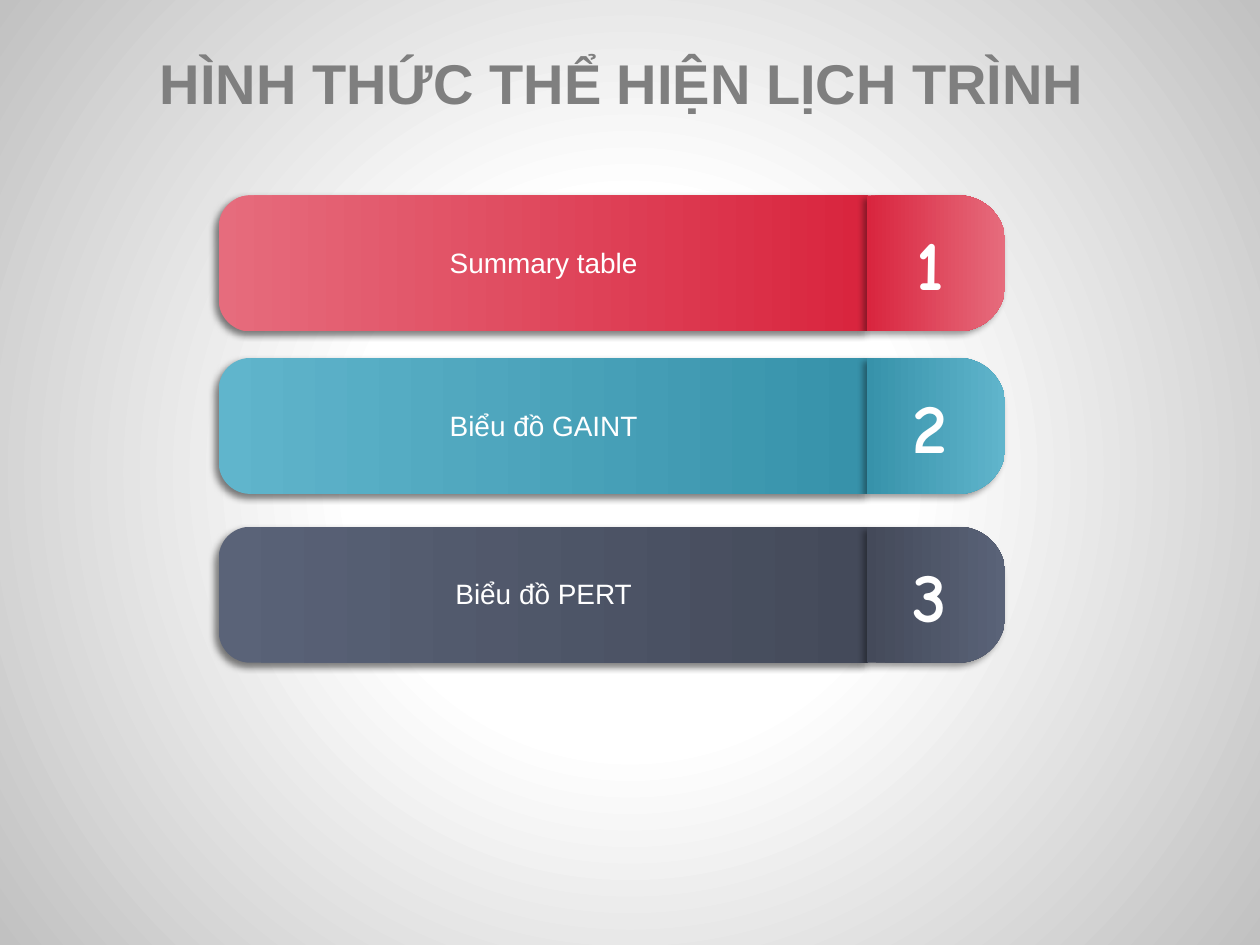
"""Build a slide listing three ways to present a schedule."""
from lxml.etree import fromstring
from pptx import Presentation
from pptx.dml.color import RGBColor
from pptx.enum.shapes import MSO_SHAPE
from pptx.enum.text import MSO_ANCHOR, MSO_AUTO_SIZE, PP_ALIGN
from pptx.oxml.ns import nsdecls
from pptx.util import Inches, Pt

WHITE = RGBColor(0xFF, 0xFF, 0xFF)
BACKDROP_GRAY = RGBColor(0xC1, 0xC1, 0xC1)
TITLE_GRAY = RGBColor(0x7F, 0x7F, 0x7F)
PINK, RED = RGBColor(0xE6, 0x6C, 0x7D), RGBColor(0xD9, 0x25, 0x3E)
SKY, TEAL = RGBColor(0x60, 0xB5, 0xCC), RGBColor(0x37, 0x92, 0xAA)
SLATE, CHARCOAL = RGBColor(0x5A, 0x63, 0x78), RGBColor(0x44, 0x4A, 0x5A)

ROWS = [
    ("Summary table", 2.09, PINK, RED),
    ("Biểu đồ GAINT", 3.38, SKY, TEAL),
    ("Biểu đồ PERT", 4.72, SLATE, CHARCOAL),
]
BAND_HEIGHT = 1.08

presentation = Presentation()
presentation.slide_width, presentation.slide_height = Inches(10), Inches(7.5)
slide = presentation.slides.add_slide(presentation.slide_layouts[6])

slide.element.cSld.insert(0, fromstring(
    f'<p:bg {nsdecls("p", "a")}><p:bgPr><a:gradFill rotWithShape="1"><a:gsLst>'
    f'<a:gs pos="35000"><a:srgbClr val="{WHITE}"/></a:gs>'
    f'<a:gs pos="100000"><a:srgbClr val="{BACKDROP_GRAY}"/></a:gs></a:gsLst>'
    '<a:path path="circle"><a:fillToRect l="50000" t="50000" r="50000" b="50000"/></a:path>'
    '</a:gradFill><a:effectLst/></p:bgPr></p:bg>'))


def add_band(center_x, center_y, length, rotation, rounding, colors, last_stop, angle, opacity):
    band = slide.shapes.add_shape(
        MSO_SHAPE.ROUND_2_SAME_RECTANGLE,
        Inches(center_x - BAND_HEIGHT / 2), Inches(center_y - length / 2),
        Inches(BAND_HEIGHT), Inches(length))
    band.rotation = rotation
    band.adjustments[0] = rounding
    band.line.fill.background()
    band.fill.gradient()
    band.fill.gradient_angle = angle
    for stop, color, position in zip(band.fill.gradient_stops, colors, (0, last_stop)):
        stop.color.rgb = color
        stop.position = position
    band.element.spPr.append(fromstring(
        f'<a:effectLst {nsdecls("a")}><a:outerShdw blurRad="{Pt(4)}" dist="{Pt(3)}" '
        'dir="8100000" algn="tr" rotWithShape="0"><a:srgbClr val="000000">'
        f'<a:alpha val="{opacity * 1000}"/></a:srgbClr></a:outerShdw></a:effectLst>'))
    return band


def add_label(text, left, top, width, height, size, color, font="Arial", bold=False,
              wrap=False, anchor=MSO_ANCHOR.MIDDLE):
    label = slide.shapes.add_textbox(Inches(left), Inches(top), Inches(width), Inches(height))
    frame = label.text_frame
    frame.text = text
    frame.word_wrap = wrap
    frame.auto_size = MSO_AUTO_SIZE.SHAPE_TO_FIT_TEXT
    frame.vertical_anchor = anchor
    paragraph = frame.paragraphs[0]
    paragraph.alignment = PP_ALIGN.CENTER
    run_font = paragraph.runs[0].font
    run_font.name, run_font.size, run_font.bold = font, Pt(size), bold
    run_font.color.rgb = color


add_label("HÌNH THỨC THỂ HIỆN LỊCH TRÌNH", 1.14, 0.33, 7.6, 0.64, 32, TITLE_GRAY, bold=True)

for number, (caption, center_y, light, dark) in enumerate(ROWS, start=1):
    add_band(4.31, center_y, 5.15, 270, 0.233, (light, dark), 0.99, 270, 50)
    number_tab = add_band(7.43, center_y, 1.1, 90, 0.347, (dark, light), 1, 90, 40)
    number_tab.element.spPr.xfrm.set("flipH", "1")
    add_label(str(number), 7.11, center_y - 0.39, 0.54, 0.77, 40, WHITE, "Comic Neue", bold=True)
    add_label(caption, 2.25, center_y - 0.19, 4.13, 0.37, 16, WHITE, wrap=True,
              anchor=MSO_ANCHOR.TOP)

presentation.save("out.pptx")
